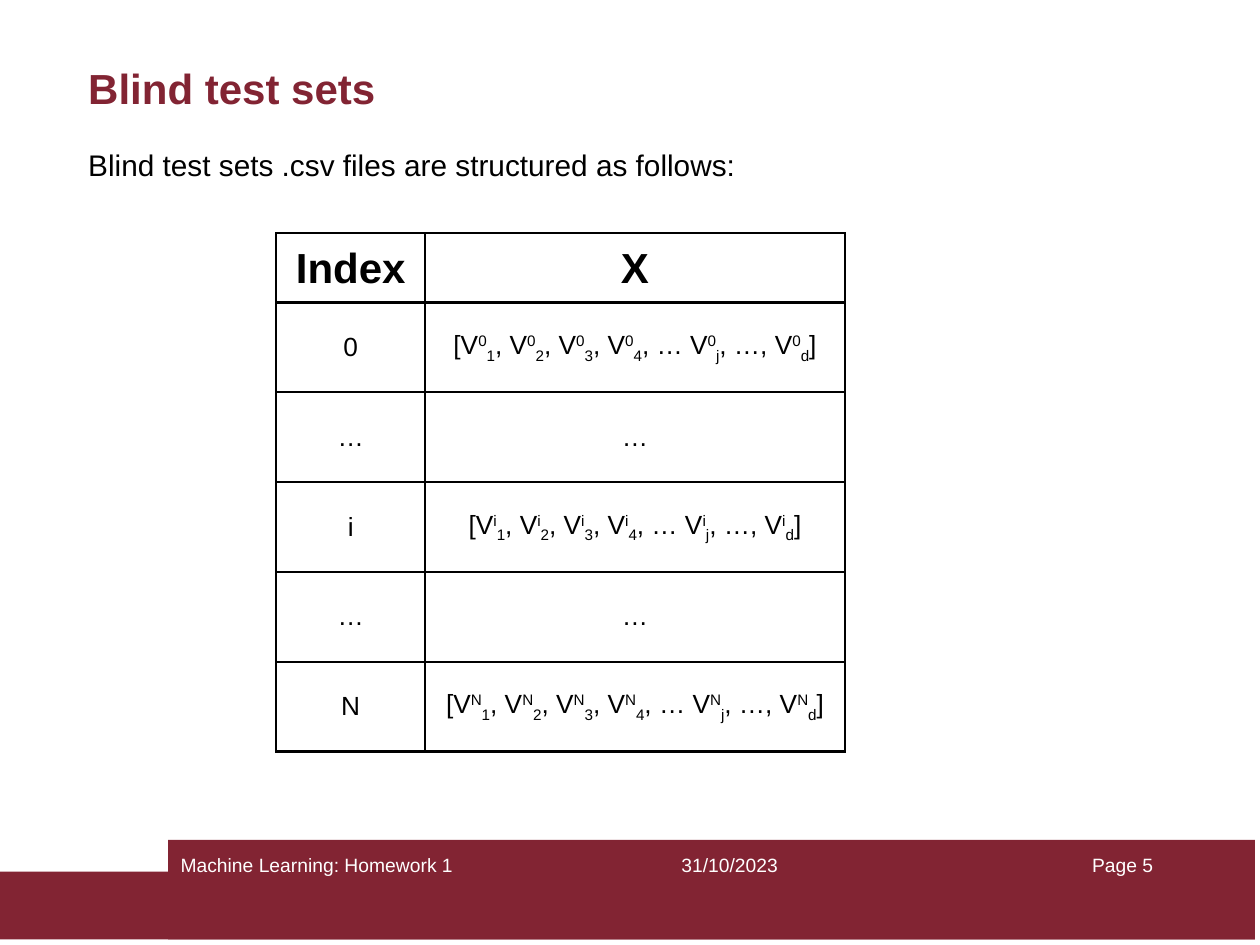
from dataclasses import dataclass

from lxml.etree import SubElement
from pptx import Presentation
from pptx.dml.color import RGBColor
from pptx.enum.shapes import MSO_SHAPE
from pptx.enum.text import MSO_ANCHOR, PP_ALIGN
from pptx.oxml.ns import qn
from pptx.util import Cm, Pt

FONT = "Arial"
MAROON, BLACK, WHITE = "822433", "000000", "FFFFFF"
SUPER, SUB = 30, -25


@dataclass
class Bar:
    left: float
    top: float
    width: float
    height: float


@dataclass
class Label:
    text: str
    left: float
    top: float
    width: float
    height: float
    size: float
    color: str
    bold: bool = False
    align: PP_ALIGN = PP_ALIGN.LEFT


BARS = [Bar(0, 17.57, 25.3, 1.37), Bar(3.39, 16.93, 21.91, 2.01)]

LABELS = [
    Label("31/10/2023", 12.07, 17.07, 5.28, 0.79, 11, WHITE, align=PP_ALIGN.CENTER),
    Label("Machine Learning: Homework 1", 3.39, 17.07, 6.32, 0.79, 11, WHITE),
    Label("Page 5", 18.22, 17.07, 5.28, 1.27, 11, WHITE, align=PP_ALIGN.RIGHT),
    Label("Blind test sets", 1.53, 1.14, 22.61, 2.41, 24, MAROON, bold=True),
    Label("Blind test sets .csv files are structured as follows:",
          1.53, 2.83, 21.84, 1.5, 17, BLACK),
]

INDEXES = ["0", "…", "i", "…", "N"]
COL_WIDTHS = [3, 8.46]
HEADER_HEIGHT, ROW_HEIGHT = 1.4, 1.81

# Text before each vector component, and the component's subscript
COMPONENTS = [("[V", "1"), (", V", "2"), (", V", "3"), (", V", "4"),
              (", … V", "j"), (", …, V", "d")]


def rgb(color: str) -> RGBColor:
    return RGBColor.from_string(color)


def style_run(r, size: float, color: str, bold: bool = False) -> None:
    r.font.name = FONT
    r.font.size = Pt(size)
    r.font.bold = bold
    r.font.color.rgb = rgb(color)


def add_bar(slide, bar: Bar) -> None:
    sp = slide.shapes.add_shape(MSO_SHAPE.RECTANGLE, Cm(bar.left), Cm(bar.top),
                                Cm(bar.width), Cm(bar.height))
    sp.shadow.inherit = False
    sp.fill.solid()
    sp.fill.fore_color.rgb = rgb(MAROON)
    sp.line.fill.background()


def add_label(slide, label: Label) -> None:
    left, top = Cm(label.left), Cm(label.top)
    right, bottom = left + Cm(label.width), top + Cm(label.height)
    outline = slide.shapes.build_freeform(left, top)
    outline.add_line_segments([(right, top), (right, bottom), (left, bottom)])
    sp = outline.convert_to_shape()
    sp.shadow.inherit = False
    sp.fill.background()
    sp.line.fill.background()
    tf = sp.text_frame
    tf.word_wrap = True
    tf.vertical_anchor = MSO_ANCHOR.TOP
    p = tf.paragraphs[0]
    p.text = label.text
    p.alignment = label.align
    style_run(p.runs[0], label.size, label.color, label.bold)


def set_borders(cell, width: float = 1.5) -> None:
    tc_pr = cell._tc.get_or_add_tcPr()
    for i, side in enumerate(("lnL", "lnR", "lnT", "lnB")):
        ln = SubElement(tc_pr, qn(f"a:{side}"), w=str(Pt(width)))
        fill = SubElement(ln, qn("a:solidFill"))
        SubElement(fill, qn("a:srgbClr"), val=BLACK)
        tc_pr.insert(i, ln)  # borders come before the fill


def vector_runs(index: str) -> list[tuple[str, int]]:
    if index == "…":
        return [(index, 0)]
    runs = []
    for lead, subscript in COMPONENTS:
        runs += [(lead, 0), (index, SUPER), (subscript, SUB)]
    return runs + [("]", 0)]


def fill_cell(cell, runs: list[tuple[str, int]], header: bool) -> None:
    cell.fill.background()
    set_borders(cell)
    cell.margin_left = cell.margin_right = cell.margin_top = Cm(0.25)
    cell.margin_bottom = Cm(0.18 if header else 0.25)
    cell.vertical_anchor = MSO_ANCHOR.TOP if header else MSO_ANCHOR.MIDDLE
    p = cell.text_frame.paragraphs[0]
    p.alignment = PP_ALIGN.CENTER
    for text, baseline in runs:
        r = p.add_run()
        r.text = text
        style_run(r, 24 if header else 15, BLACK, header)
        if baseline:
            r.font._element.set("baseline", str(baseline * 1000))


def add_index_table(slide) -> None:
    rows = [([("Index", 0)], [("X", 0)])]
    rows += [([(index, 0)], vector_runs(index)) for index in INDEXES]
    heights = [HEADER_HEIGHT] + [ROW_HEIGHT] * len(INDEXES)
    table = slide.shapes.add_table(len(rows), len(COL_WIDTHS), Cm(5.57), Cm(4.7),
                                   Cm(sum(COL_WIDTHS)), Cm(sum(heights))).table
    table.first_row = table.horz_banding = False
    for col, width in zip(table.columns, COL_WIDTHS):
        col.width = Cm(width)
    for i, (row, height) in enumerate(zip(rows, heights)):
        table.rows[i].height = Cm(height)
        for j, runs in enumerate(row):
            fill_cell(table.cell(i, j), runs, header=i == 0)


def main() -> None:
    prs = Presentation()
    prs.slide_width, prs.slide_height = Cm(25.4), Cm(19.05)
    slide = prs.slides.add_slide(prs.slide_layouts[6])

    # Footer band
    for bar in BARS:
        add_bar(slide, bar)

    # Footer, title and introduction
    for label in LABELS:
        add_label(slide, label)

    # Structure of the files
    add_index_table(slide)

    prs.save("out.pptx")


if __name__ == "__main__":
    main()
